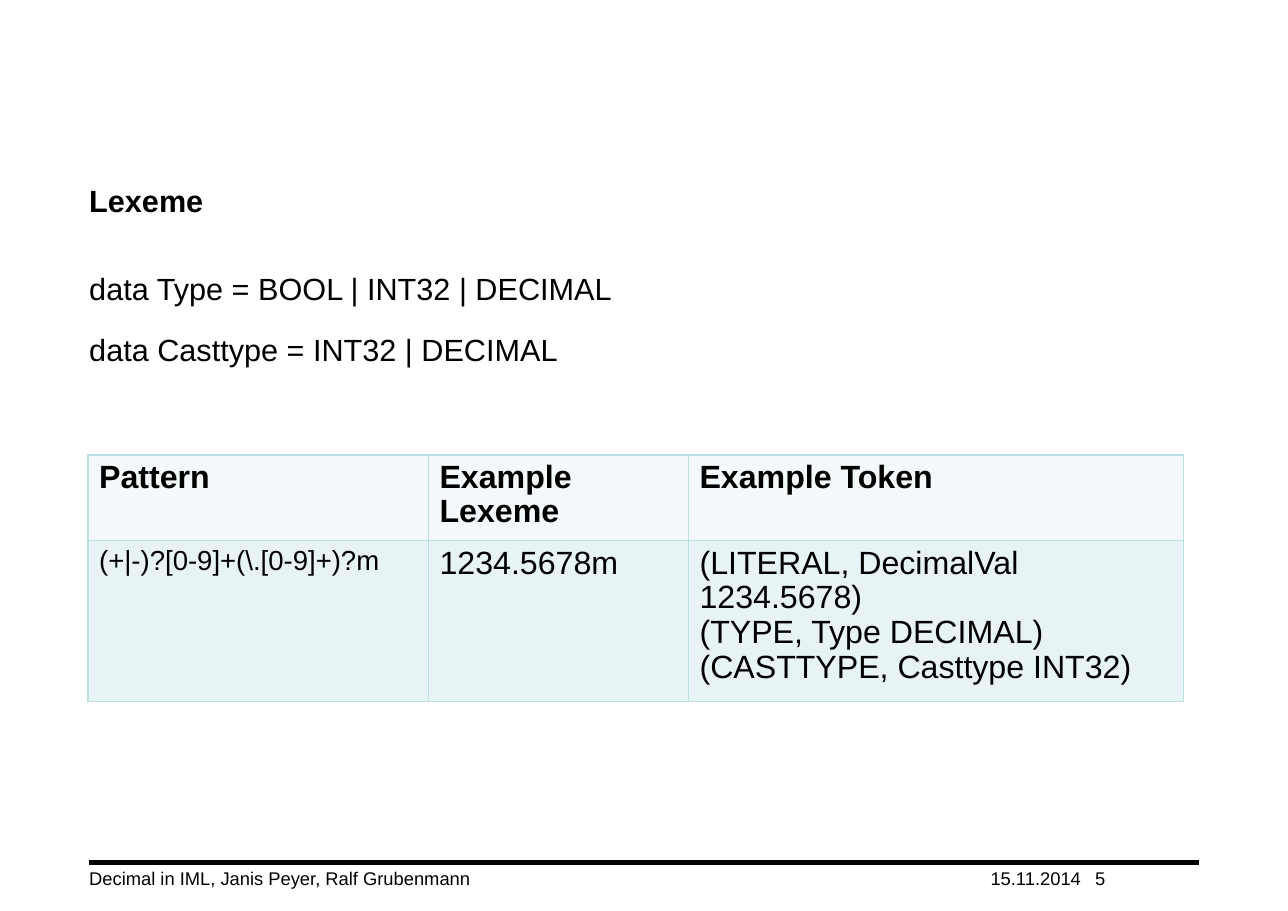
from lxml import etree
from pptx import Presentation
from pptx.dml.color import RGBColor
from pptx.enum.shapes import MSO_CONNECTOR
from pptx.enum.text import MSO_ANCHOR
from pptx.oxml.ns import qn
from pptx.util import Inches, Pt

FONT = "Arial"
BLACK = RGBColor(0x00, 0x00, 0x00)
HEADER_FILL = RGBColor(0xF3, 0xF9, 0xFA)
BODY_FILL = RGBColor(0xE7, 0xF3, 0xF4)
BORDER = RGBColor(0xBB, 0xE0, 0xE3)

DEFINITIONS = ["data Type = BOOL | INT32 | DECIMAL", "data Casttype = INT32 | DECIMAL"]
TOKEN_ROWS = [
    ["Pattern", "Example Lexeme", "Example Token"],
    [
        r"(+|-)?[0-9]+(\.[0-9]+)?m",
        "1234.5678m",
        "(LITERAL, DecimalVal 1234.5678)\n(TYPE, Type DECIMAL)\n(CASTTYPE, Casttype INT32)",
    ],
]
COLUMN_WIDTHS = [3.09, 2.36, 4.49]
ROW_HEIGHTS = [0.75, 1.4]


def write_text(frame, text, size, bold=False, line_spacing=None, space_before=None):
    """Fill a text frame, one paragraph for each line of text."""
    frame.word_wrap = True
    frame.text = text
    for paragraph in frame.paragraphs:
        paragraph.font.name = FONT
        paragraph.font.size = Pt(size)
        paragraph.font.bold = bold
        paragraph.font.color.rgb = BLACK
        paragraph.line_spacing = line_spacing
        paragraph.space_before = space_before


def add_text(slide, box, text, size, anchor=MSO_ANCHOR.TOP, **style):
    """Add a text box without insets; box is left, top, width, height."""
    frame = slide.shapes.add_textbox(*map(Inches, box)).text_frame
    frame.margin_left = frame.margin_top = frame.margin_right = frame.margin_bottom = 0
    frame.vertical_anchor = anchor
    write_text(frame, text, size, **style)


def add_content(slide, box):
    """Add the title with the type definitions below it."""
    left, top, width, height = box
    add_text(slide, (left, top, width, 0.4), "Lexeme", 20, bold=True)
    add_text(slide, (left, top + 0.75, width, height - 0.75), "\n".join(DEFINITIONS), 20,
             line_spacing=1.15, space_before=Pt(12))


def set_borders(cell):
    """Draw a thin line on all four sides of a table cell."""
    properties = cell._tc.get_or_add_tcPr()
    for index, side in enumerate(("a:lnL", "a:lnR", "a:lnT", "a:lnB")):
        line = etree.Element(qn(side), w=str(Pt(1)))
        fill = etree.SubElement(line, qn("a:solidFill"))
        etree.SubElement(fill, qn("a:srgbClr"), val=str(BORDER))
        properties.insert(index, line)


def add_token_table(slide, left, top):
    """Add the table of patterns, lexemes and tokens."""
    table = slide.shapes.add_table(
        len(TOKEN_ROWS), len(COLUMN_WIDTHS), Inches(left), Inches(top),
        Inches(sum(COLUMN_WIDTHS)), Inches(sum(ROW_HEIGHTS))).table
    for column, width in zip(table.columns, COLUMN_WIDTHS):
        column.width = Inches(width)
    for row_index, texts in enumerate(TOKEN_ROWS):
        table.rows[row_index].height = Inches(ROW_HEIGHTS[row_index])
        is_header = row_index == 0
        for column_index, text in enumerate(texts):
            cell = table.cell(row_index, column_index)
            cell.fill.solid()
            cell.fill.fore_color.rgb = HEADER_FILL if is_header else BODY_FILL
            size = 18 if column_index == 0 and not is_header else 21
            write_text(cell.text_frame, text, size, bold=is_header, line_spacing=0.97)
            set_borders(cell)


def add_footer(slide, box):
    """Add the rule with the footer text, date and page number below it."""
    left, top, width, height = box
    rule = slide.shapes.add_connector(
        MSO_CONNECTOR.STRAIGHT, Inches(left), Inches(top), Inches(left + width), Inches(top))
    rule.line.color.rgb = BLACK
    rule.line.width = Pt(3)
    etree.SubElement(rule._element.spPr, qn("a:effectLst"))
    parts = [("Decimal in IML, Janis Peyer, Ralf Grubenmann", 8.18), ("15.11.2014", 0.95), ("5", 0.94)]
    for text, part_width in parts:
        add_text(slide, (left, top + 0.04, part_width, height - 0.04), text, 12,
                 anchor=MSO_ANCHOR.BOTTOM)
        left += part_width


def main():
    """Build the slide and save it."""
    presentation = Presentation()
    presentation.slide_width = Inches(11.69)
    presentation.slide_height = Inches(8.27)
    slide = presentation.slides.add_slide(presentation.slide_layouts[6])
    add_footer(slide, (0.81, 7.83, 10.07, 0.24))
    add_content(slide, (0.81, 1.65, 10.08, 5.63))
    add_token_table(slide, 0.8, 4.13)
    presentation.save("out.pptx")


main()
